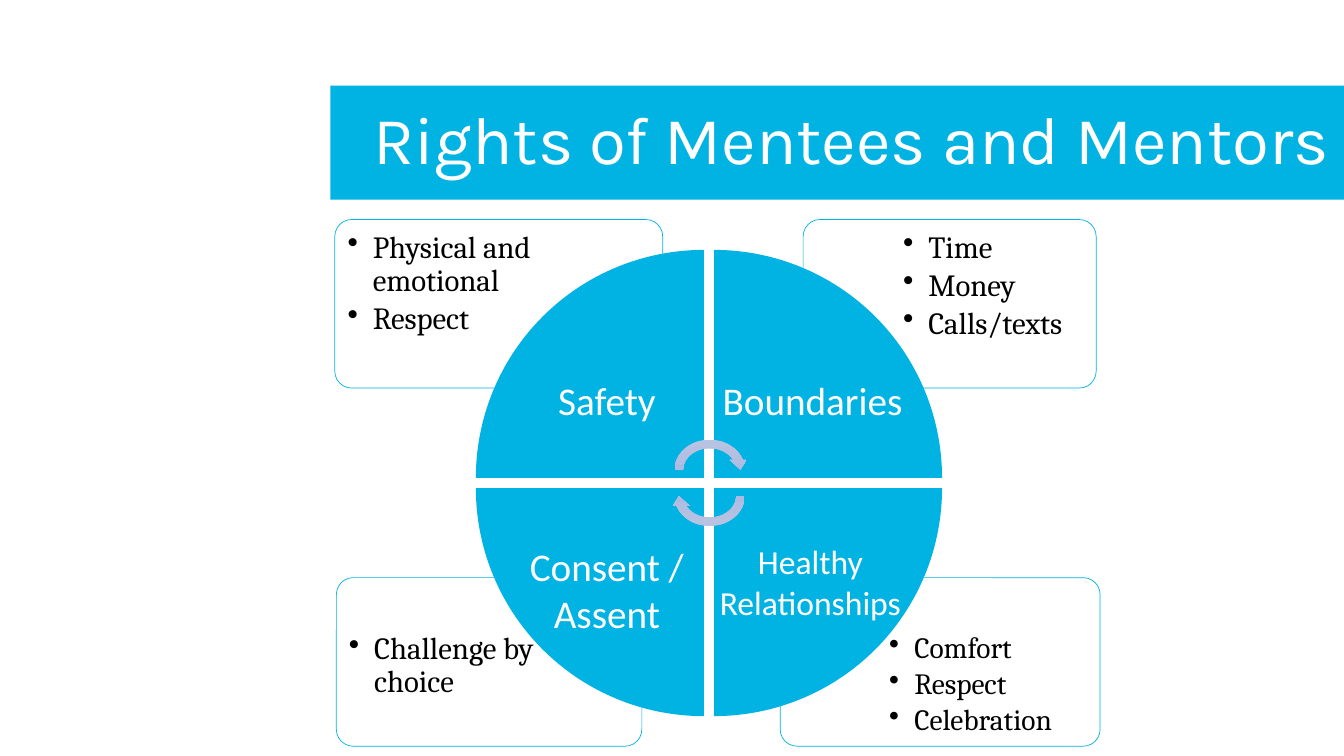
from copy import deepcopy

from lxml.etree import SubElement
from pptx import Presentation
from pptx.dml.color import RGBColor
from pptx.enum.shapes import MSO_SHAPE as Shape
from pptx.enum.text import MSO_ANCHOR as Anchor, PP_ALIGN as Align
from pptx.oxml.ns import qn
from pptx.util import Pt

COLORS = {"cyan": "00B3E3", "white": "FFFFFF", "black": "000000"}
ARROW_STOPS = [(0, "BBC5E3"), (0.5, "AEBBE0"), (1, "98A4CB")]

TITLE = "Rights of Mentees and Mentors"

# Each card: frame (left, top, width), list (left, top, width), size, items
CARDS = [
    ((557.3, 412.6, 228.5), (628.6, 445.7, 154.8), 21,
     ["Comfort", "Respect", "Celebration"]),
    ((240.3, 412.6, 218.2), (242.8, 445.7, 147.6), 22,
     ["Challenge by choice"]),
    ((573.7, 156.8, 209.3), (638.6, 159.1, 141.1), 22,
     ["Time", "Money", "Calls/texts"]),
    ((239.2, 156.8, 234.2), (241.8, 159.1, 158.4), 22,
     ["Physical and emotional", "Respect"]),
]
CARD_HEIGHT, LIST_HEIGHT = 120.4, 85

# Wheel quarters as (column, row), clockwise from the upper left
QUARTERS = [(0, 0), (1, 0), (1, 1), (0, 1)]
WHEEL_LEFT, WHEEL_TOP = 339.9, 178.5
WEDGE, WEDGE_STEP = 162.8, 170.2

# Each label: text, left, top, height, size
LABELS = [
    ("Healthy Relationships", 505.4, 383, 65.5, 24),
    ("Boundaries", 506.9, 265, 41, 28),
    ("Safety", 360, 265, 41, 28),
    ("Consent / Assent", 360, 383.8, 75, 28),
]
LABEL_WIDTH = 147


def color(name):
    return RGBColor.from_string(COLORS[name])


def points(*lengths):
    return [Pt(length) for length in lengths]


def add_preset(page, kind, frame, fill=None, line=None, rotation=0):
    shape = page.shapes.add_shape(kind, *points(*frame))
    shape.shadow.inherit = False
    shape.rotation = rotation
    if fill:
        shape.fill.solid()
        shape.fill.fore_color.rgb = color(fill)
    if line:
        shape.line.color.rgb = color(line)
        shape.line.width = Pt(0.5)
    else:
        shape.line.fill.background()
    return shape


def write(box, lines, font, size, ink, align=Align.LEFT, anchor=Anchor.TOP,
          spacing=None, after=0, inset=None, bullets=False):
    """Fill a box with one paragraph per line in a single format."""
    frame = box.text_frame
    frame.word_wrap = True
    frame.vertical_anchor = anchor
    if inset is not None:
        frame.margin_left = frame.margin_right = Pt(inset)
        frame.margin_top = frame.margin_bottom = Pt(inset)
    for index, line in enumerate(lines):
        para = frame.add_paragraph() if index else frame.paragraphs[0]
        para.alignment = align
        para.line_spacing = spacing
        para.space_after = Pt(after)
        span = para.add_run()
        span.text = line
        span.font.name = font
        span.font.size = Pt(size)
        span.font.color.rgb = color(ink)
        if bullets:
            format_xml = para._p.get_or_add_pPr()
            format_xml.set("marL", str(Pt(18)))
            format_xml.set("indent", str(Pt(-18)))
            SubElement(format_xml, qn("a:buChar"), char="•")


def add_title(page):
    title = page.shapes.title
    title.left, title.top, title.width, title.height = points(244.8, 61.2, 712.1, 81.4)
    write(title, [TITLE], "Karla", 48, "white", align=Align.RIGHT,
          anchor=Anchor.MIDDLE, spacing=0.9)
    banner = add_preset(page, Shape.RECTANGLE, (236, 61.2, 724, 81.4), "cyan")
    title.element.addprevious(banner.element)


def add_card(page, frame, list_place, size, items):
    card = add_preset(page, Shape.ROUNDED_RECTANGLE, (*frame, CARD_HEIGHT),
                      "white", "cyan")
    card.adjustments[0] = 0.1
    fill_color = card.element.spPr.find(qn("a:solidFill"))[0]
    SubElement(fill_color, qn("a:alpha"), val="90000")
    box = page.shapes.add_textbox(*points(*list_place, LIST_HEIGHT))
    write(box, items, "Cambria", size, "black", spacing=0.9,
          after=round(0.15 * size, 1), inset=6.5, bullets=True)


def add_cycle_arrow(page, top, rotation):
    arrow = add_preset(page, Shape.CIRCULAR_ARROW, (478.8, top, 56.2, 49),
                       rotation=rotation)
    arrow.fill.gradient()
    arrow.fill.gradient_angle = 270
    stop_list = arrow.element.spPr.find(".//" + qn("a:gsLst"))
    stop_list.insert(1, deepcopy(stop_list[0]))
    for stop, (position, shade) in zip(arrow.fill.gradient_stops, ARROW_STOPS):
        stop.position = position
        stop.color.rgb = RGBColor.from_string(shade)


def main():
    deck = Presentation()
    deck.slide_width, deck.slide_height = points(960, 540)
    page = deck.slides.add_slide(deck.slide_layouts[5])
    add_title(page)
    for card in CARDS:
        add_card(page, *card)
    for turn, (column, row) in enumerate(QUARTERS):
        frame = (WHEEL_LEFT + column * WEDGE_STEP,
                 WHEEL_TOP + row * WEDGE_STEP, WEDGE, WEDGE)
        add_preset(page, Shape.PIE_WEDGE, frame, "cyan", rotation=90 * turn)
    add_cycle_arrow(page, 311, 0)
    add_cycle_arrow(page, 329.8, 180)
    for text, left, top, height, size in LABELS:
        box = page.shapes.add_textbox(*points(left, top, LABEL_WIDTH, height))
        write(box, [text], "Calibri", size, "white", align=Align.CENTER)
    deck.save("out.pptx")


if __name__ == "__main__":
    main()
